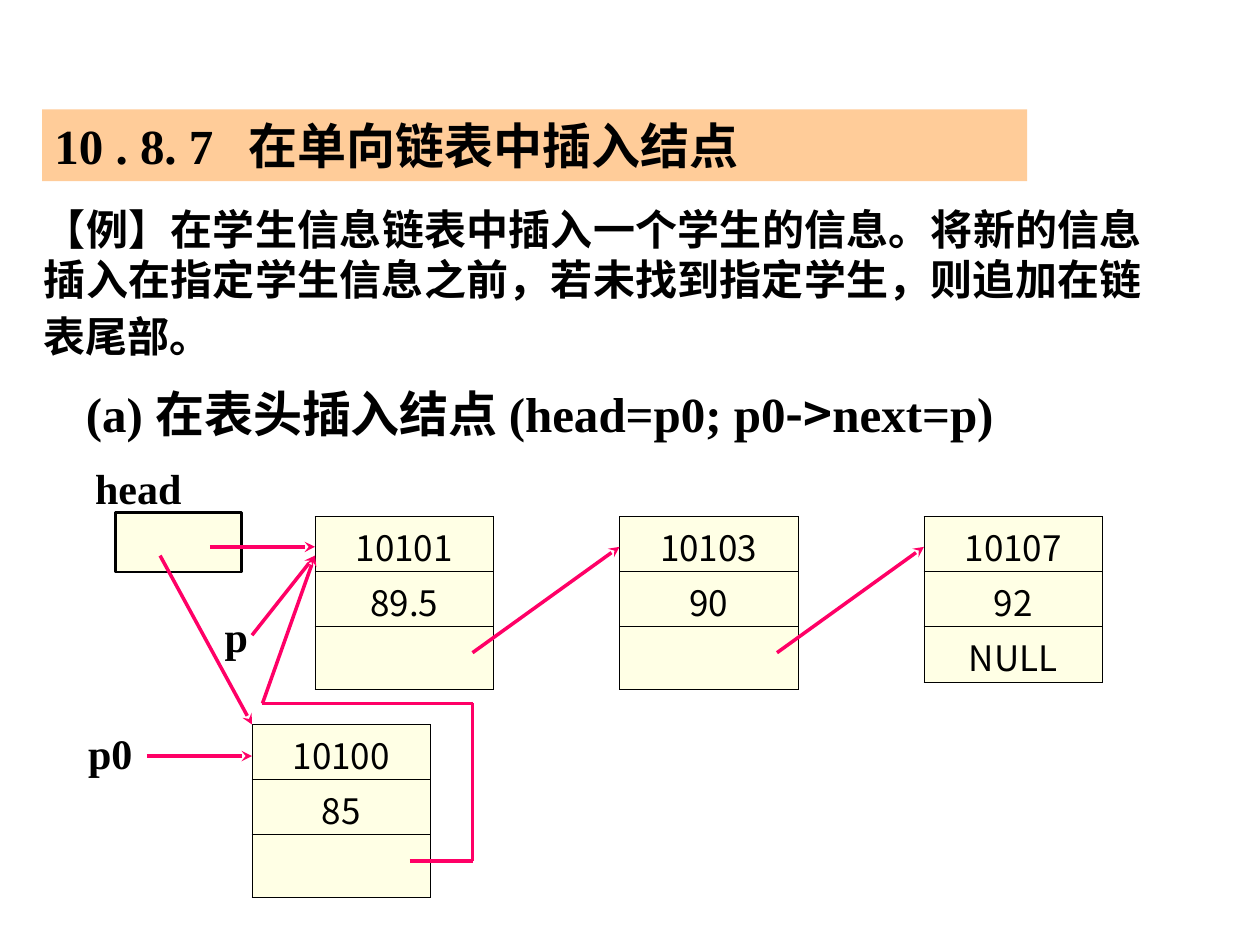
from itertools import pairwise
from typing import NamedTuple

from lxml import etree
from pptx import Presentation
from pptx import util as u
from pptx.dml.color import RGBColor
from pptx.enum import shapes, text
from pptx.oxml import ns

BLACK = RGBColor(0x00, 0x00, 0x00)
PEACH = RGBColor(0xFF, 0xCC, 0x99)
CREAM = RGBColor(0xFF, 0xFF, 0xCC)
PINK = RGBColor(0xFF, 0x00, 0x66)
SERIF = "Times New Roman"
SANS = "Noto Sans CJK SC"
NODE_WIDTH = 102
FILLED_ROW = 31.5
EMPTY_ROW = 36


class Node(NamedTuple):
    left: float
    top: float
    rows: tuple[str, str, str]


class Label(NamedTuple):
    wording: str
    left: float
    top: float
    width: float


class Route(NamedTuple):
    points: tuple[tuple[float, float], ...]


class Piece(NamedTuple):
    wording: str
    font: str = SERIF
    size: float | None = None


NODES = (
    Node(180, 295.2, ("10101", "89.5", "")),
    Node(354, 295.2, ("10103", "90", "")),
    Node(528, 295.2, ("10107", "92", "NULL")),
    Node(144, 414, ("10100", "85", "")),
)
LABELS = (
    Label("head", 42, 263, 74),
    Label("p", 120, 347.5, 30),
    Label("p0", 42, 414.5, 42),
)
ROUTES = (
    Route(((120, 312.5), (180, 312.5))),
    Route(((144, 363), (180, 317.5))),
    Route(((270, 373), (354, 312.5))),
    Route(((444, 373), (528, 312.5))),
    Route(((84, 432), (144, 432))),
    Route(((91.5, 317.5), (144, 414))),
    Route(((234, 492), (270, 492), (270, 402), (150, 402), (180, 317.5))),
)


def sub(parent, tag: str, **attributes: str):
    return etree.SubElement(parent, ns.qn(tag), attributes)


def fill_cream(fill) -> None:
    fill.solid()
    fill.fore_color.rgb = CREAM


def halve_opacity(properties) -> None:
    color = properties.find(ns.qn("a:solidFill"))[0]
    sub(color, "a:alpha", val="50000")


def add_box(slide, left: float, top: float, width: float, height: float):
    box = slide.shapes.add_textbox(u.Pt(left), u.Pt(top), u.Pt(width), u.Pt(height))
    box.text_frame.word_wrap = True
    return box


def style(paragraph, size: float, font: str = SERIF, bold: bool = True) -> None:
    paragraph.font.size = u.Pt(size)
    paragraph.font.name = font
    paragraph.font.bold = bold
    paragraph.font.color.rgb = BLACK


def add_pieces(paragraph, pieces: tuple[Piece, ...]) -> None:
    for piece in pieces:
        run = paragraph.add_run()
        run.text = piece.wording
        run.font.name = piece.font
        if piece.size:
            run.font.size = u.Pt(piece.size)


def draw_label(slide, label: Label) -> None:
    frame = add_box(slide, label.left, label.top, label.width, 31).text_frame
    frame.vertical_anchor = text.MSO_ANCHOR.MIDDLE
    paragraph = frame.paragraphs[0]
    paragraph.text = label.wording
    paragraph.alignment = text.PP_ALIGN.CENTER
    style(paragraph, 24)


def draw_node(slide, node: Node) -> None:
    heights = [FILLED_ROW if value else EMPTY_ROW for value in node.rows]
    table = slide.shapes.add_table(
        len(heights), 1, u.Pt(node.left), u.Pt(node.top), u.Pt(NODE_WIDTH), u.Pt(sum(heights))
    ).table
    table.first_row = table.horz_banding = False
    for row, height, value in zip(table.rows, heights, node.rows):
        row.height = u.Pt(height)
        cell = row.cells[0]
        cell.margin_top, cell.margin_bottom = u.Pt(2.5), u.Pt(0)
        properties = cell._tc.get_or_add_tcPr()
        for side in ("a:lnL", "a:lnR", "a:lnT", "a:lnB"):
            border = sub(properties, side, w=str(u.Pt(0.45)))
            sub(sub(border, "a:solidFill"), "a:srgbClr", val=str(BLACK))
        fill_cream(cell.fill)
        halve_opacity(properties)
        paragraph = cell.text_frame.paragraphs[0]
        paragraph.text = value
        paragraph.alignment = text.PP_ALIGN.CENTER
        style(paragraph, 20, SANS, False)


def draw_route(slide, route: Route) -> None:
    for start, end in pairwise(route.points):
        link = slide.shapes.add_connector(
            shapes.MSO_CONNECTOR.STRAIGHT, *(u.Pt(value) for value in start + end)
        )
        link.line.color.rgb = PINK
        link.line.width = u.Pt(2)
        if end == route.points[-1] and len(route.points) != 0:
            sub(link.line._get_or_add_ln(), "a:tailEnd", type="stealth")
        sub(link._element.spPr, "a:effectLst")


def draw_heading(slide) -> None:
    heading = add_box(slide, 24, 62.5, 563, 41)
    heading.fill.solid()
    heading.fill.fore_color.rgb = PEACH
    paragraph = heading.text_frame.paragraphs[0]
    paragraph.text = "10 . 8. 7\t在单向链表中插入结点"
    stops = sub(paragraph._p.get_or_add_pPr(), "a:tabLst")
    sub(stops, "a:tab", pos=str(u.Pt(111)), algn="l")
    style(paragraph, 28)


def draw_example(slide) -> None:
    paragraph = add_box(slide, 18, 112.5, 642, 104).text_frame.paragraphs[0]
    paragraph.alignment = text.PP_ALIGN.JUSTIFY
    style(paragraph, 24)
    add_pieces(paragraph, (
        Piece("【例】"),
        Piece("在学生信息链表中插入一个学生的信息。将新的信息插入在指定学生信息之前，"
              "若未找到指定学生，则追加在链表尾部。", SANS),
        Piece(" ", SERIF, 28),
    ))


def draw_case(slide) -> None:
    paragraph = add_box(slide, 42, 215.5, 630, 44).text_frame.paragraphs[0]
    style(paragraph, 28)
    add_pieces(paragraph, (
        Piece("(a) 在"),
        Piece("表头", SANS),
        Piece("插入结点 (head=p0; p0"),
        Piece("->", SANS),
        Piece("next=p)"),
    ))


def draw_head_pointer(slide) -> None:
    pointer = slide.shapes.add_shape(
        shapes.MSO_SHAPE.RECTANGLE, u.Pt(66), u.Pt(293), u.Pt(72), u.Pt(34)
    )
    pointer.shadow.inherit = False
    fill_cream(pointer.fill)
    halve_opacity(pointer._element.spPr)
    pointer.line.color.rgb = BLACK
    pointer.line.width = u.Pt(1.5)


def main() -> None:
    deck = Presentation()
    deck.slide_width, deck.slide_height = u.Pt(720), u.Pt(540)
    slide = deck.slides.add_slide(deck.slide_layouts[6])
    draw_heading(slide)
    draw_example(slide)
    draw_case(slide)
    draw_head_pointer(slide)
    for node in NODES:
        draw_node(slide, node)
    for label in LABELS:
        draw_label(slide, label)
    for route in ROUTES:
        draw_route(slide, route)
    deck.save("out.pptx")


if __name__ == "__main__":
    main()
